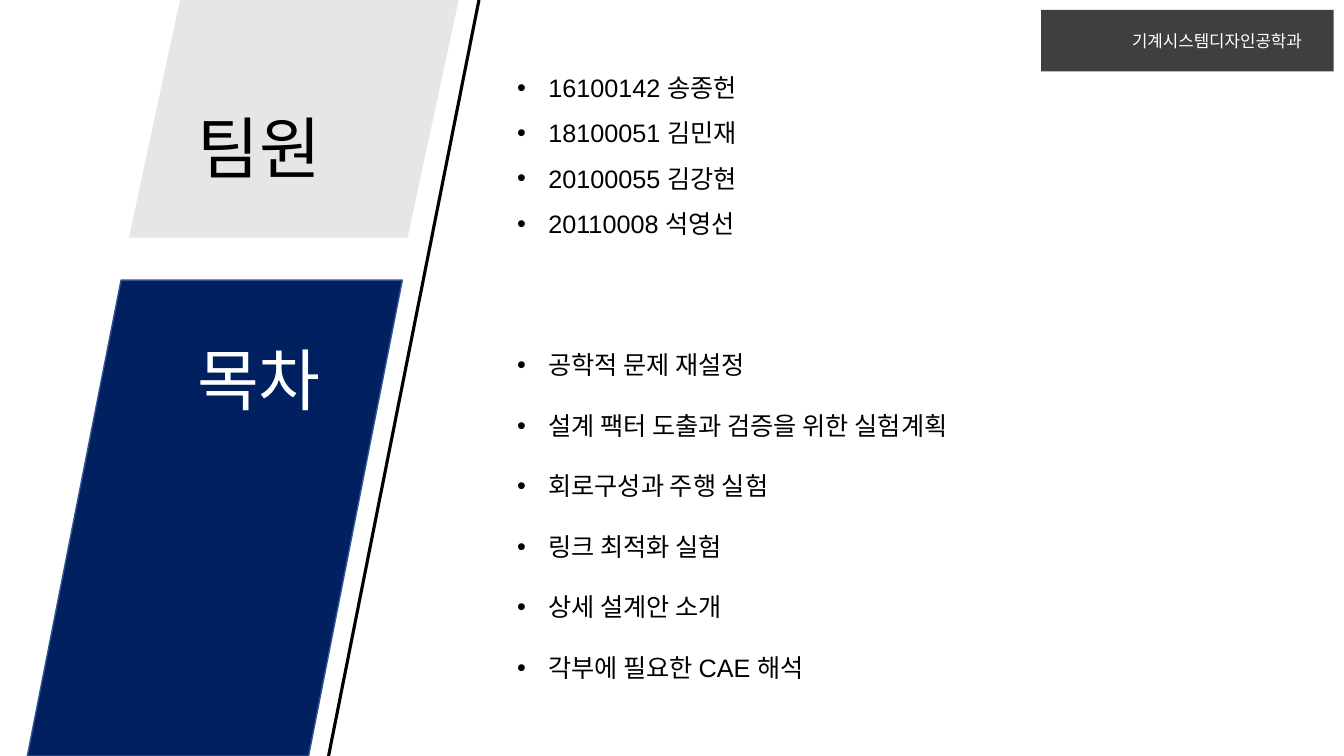
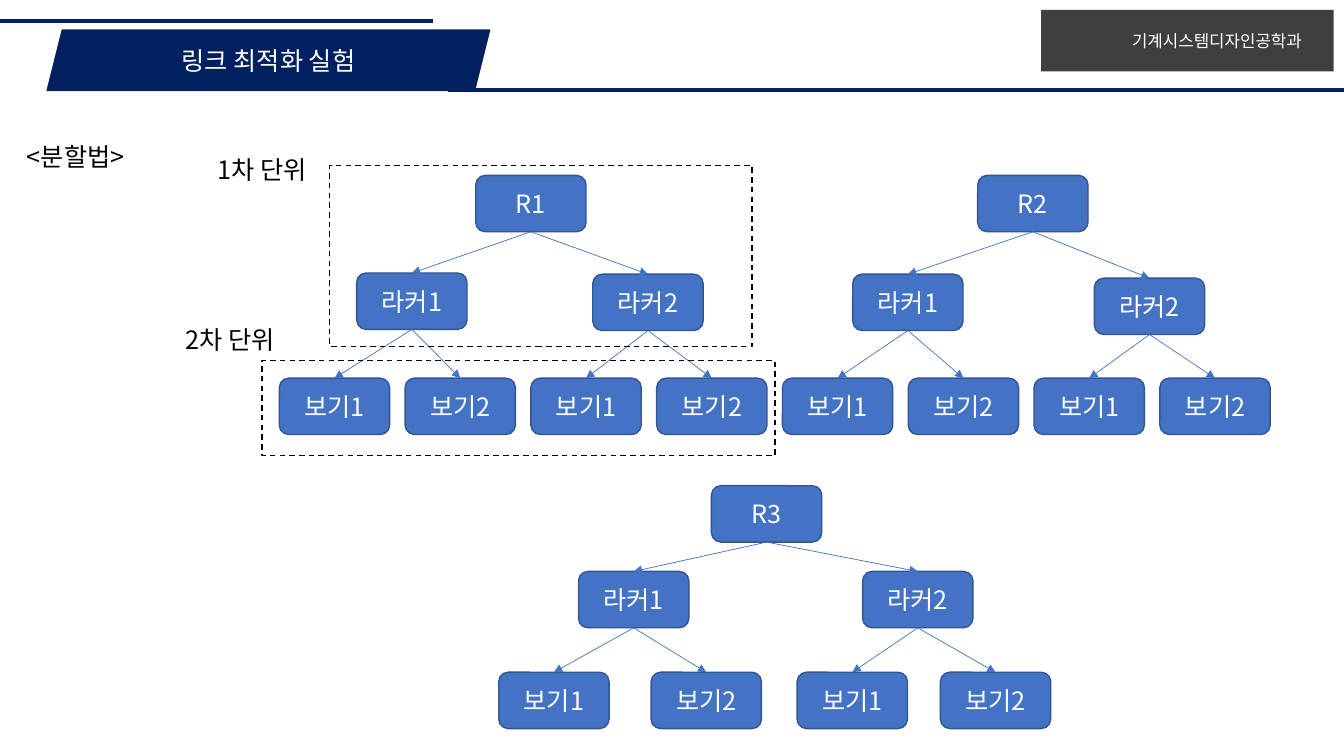
from lxml.etree import SubElement
from pptx import Presentation
from pptx.dml.color import RGBColor
from pptx.enum.dml import MSO_LINE
from pptx.enum.shapes import MSO_CONNECTOR, MSO_SHAPE
from pptx.enum.text import MSO_ANCHOR, MSO_AUTO_SIZE, PP_ALIGN
from pptx.oxml.ns import qn
from pptx.util import Cm, Pt

COLORS = {
    "navy": "002060", "navy_edge": "325491", "gray": "E7E6E6", "badge": "3F3F3F",
    "node": "4472C4", "black": "000000", "white": "FFFFFF",
}
KOREAN = "Noto Sans CJK KR"
SLIDE_W, SLIDE_H = 33.87, 19.05

DEPARTMENT = "기계시스템디자인공학과"
MEMBERS = ["16100142 송종헌", "18100051 김민재", "20100055 김강현", "20110008 석영선"]
AGENDA = [
    "공학적 문제 재설정",
    "설계 팩터 도출과 검증을 위한 실험계획",
    "회로구성과 주행 실험",
    "링크 최적화 실험",
    "상세 설계안 소개",
    "각부에 필요한 CAE 해석",
]

NODE_W, NODE_H = 2.78, 1.42
LEAF_ROW = [7.04 + 3.17 * i for i in range(8)]
# Each tree: root, its two lockers as (left, top), the leaves' lefts and their top
TREES = [
    ("R1", (11.99, 4.42), [(8.99, 6.88), (14.94, 6.91)], LEAF_ROW[:4], 9.53),
    ("R2", (24.64, 4.42), [(21.49, 6.91), (27.58, 7.01)], LEAF_ROW[4:], 9.53),
    ("R3", (17.93, 12.24), [(14.58, 14.4), (21.74, 14.4)], [12.57, 16.41, 20.09, 23.7], 16.94),
]
UNIT_FRAMES = [(8.31, 4.17, 10.64, 4.57), (6.6, 9.09, 12.93, 2.39)]
LABELS = [
    ("1차 단위", (5.23, 3.76, 3.02, 1.02)),
    ("2차 단위", (4.42, 8.05, 3.02, 1.02)),
    ("<분할법>", (0.43, 3.43, 3.91, 1.02)),
]


def rgb(name):
    return RGBColor.from_string(COLORS[name])


def write(sp, lines, size=18, color="black", font=KOREAN, align=PP_ALIGN.LEFT,
          anchor=MSO_ANCHOR.MIDDLE, bullet=False, spacing=None, gap=0):
    tf = sp.text_frame
    tf.word_wrap = True
    tf.auto_size = MSO_AUTO_SIZE.NONE
    tf.vertical_anchor = anchor
    for i, line in enumerate(lines):
        p = tf.paragraphs[0] if i == 0 else tf.add_paragraph()
        if bullet:
            pPr = p._p.get_or_add_pPr()
            pPr.set("marL", str(Cm(0.79)))
            pPr.set("indent", str(-Cm(0.79)))
            SubElement(pPr, qn("a:buFont")).set("typeface", "Arial")
            SubElement(pPr, qn("a:buChar")).set("char", "•")
        p.alignment = align
        if spacing:
            p.line_spacing = spacing
        if i and gap:
            p.space_before = Pt(gap)
        r = p.add_run()
        r.text = line
        r.font.size = Pt(size)
        r.font.name = font
        r.font.color.rgb = rgb(color)
        if font == KOREAN:
            SubElement(r._r.get_or_add_rPr(), qn("a:ea")).set("typeface", font)
    return sp


def add_text(s, lines, box, **fmt):
    return write(s.shapes.add_textbox(*map(Cm, box)), lines, **fmt)


def set_title(s, text, box, **fmt):
    """Place the title and bring it in front of the shapes drawn so far."""
    title = s.shapes.title
    title.left, title.top, title.width, title.height = map(Cm, box)
    write(title, [text], **fmt)
    title._element.getparent().append(title._element)


def add_shape(s, kind, box, fill=None, line=None, adj=None, dash=None):
    sp = s.shapes.add_shape(kind, *map(Cm, box))
    sp.shadow.inherit = False
    if adj is not None:
        sp.adjustments[0] = adj
    if fill:
        sp.fill.solid()
        sp.fill.fore_color.rgb = rgb(fill)
    else:
        sp.fill.background()
    if line:
        sp.line.color.rgb = rgb(line)
        sp.line.width = Pt(1)
        if dash:
            sp.line.dash_style = dash
    else:
        sp.line.fill.background()
    return sp


def add_line(s, start, end, color, width):
    cx = s.shapes.add_connector(MSO_CONNECTOR.STRAIGHT, *map(Cm, start + end))
    cx.line.color.rgb = rgb(color)
    cx.line.width = Pt(width)
    SubElement(cx._element.spPr, qn("a:effectLst"))
    return cx


def add_arrow(s, parent, child):
    """Arrow from the bottom of one node to the top of another."""
    cx = add_line(s, (0, 0), (1, 1), "node", 0.5)
    cx.begin_connect(parent, 2)
    cx.end_connect(child, 0)
    SubElement(cx.line._get_or_add_ln(), qn("a:tailEnd")).set("type", "triangle")


def add_node(s, text, left, top):
    sp = add_shape(s, MSO_SHAPE.ROUNDED_RECTANGLE, (left, top, NODE_W, NODE_H), "node", "navy_edge")
    return write(sp, [text], color="white", align=PP_ALIGN.CENTER)


def add_tree(s, root_text, root_at, locker_spots, leaf_lefts, leaf_top):
    root = add_node(s, root_text, *root_at)
    for i, spot in enumerate(locker_spots):
        locker = add_node(s, f"라커{i + 1}", *spot)
        add_arrow(s, root, locker)
        for j, left in enumerate(leaf_lefts[2 * i:2 * i + 2], 1):
            add_arrow(s, locker, add_node(s, f"보기{j}", left, leaf_top))


def new_slide(prs):
    """Title-only slide with the department badge."""
    s = prs.slides.add_slide(prs.slide_layouts[5])
    badge = add_shape(s, MSO_SHAPE.RECTANGLE, (26.24, 0.25, 7.37, 1.55), "badge")
    write(badge, [DEPARTMENT], size=12, color="white")
    badge.text_frame.margin_left = Cm(2.29)
    badge.text_frame.margin_right = 0
    return s


def build_agenda(prs):
    s = new_slide(prs)
    add_shape(s, MSO_SHAPE.PARALLELOGRAM, (0.69, 7.06, 9.45, 11.99), "navy", "navy_edge", 0.25)
    add_shape(s, MSO_SHAPE.PARALLELOGRAM, (3.25, 0, 8.31, 5.99), "gray", adj=0.215)
    add_line(s, (12.07, 0), (8.28, SLIDE_H), "black", 2.25)
    set_title(s, "팀원", (4.72, 2.54, 5.77, 2.31), size=48, font="Lato")
    add_text(s, ["목차"], (4.72, 8.38, 5.77, 2.31), size=48, font="Lato", color="white")
    bullets = dict(font="Arial", anchor=MSO_ANCHOR.TOP, bullet=True)
    add_text(s, MEMBERS, (12.78, 1.32, 18.75, 4.72), spacing=1.5, **bullets)
    add_text(s, AGENDA, (12.78, 8.69, 18.75, 8.71), gap=21.6, **bullets)


def build_split_plot(prs):
    s = new_slide(prs)
    title_box = (1.19, 0.76, 11.15, 1.52)
    add_shape(s, MSO_SHAPE.PARALLELOGRAM, title_box, "navy", "navy", 0.25)
    set_title(s, "링크 최적화 실험", title_box, color="white", align=PP_ALIGN.CENTER)
    add_line(s, (11.3, 2.26), (SLIDE_W, 2.26), "navy", 3)
    add_line(s, (0, 0.53), (10.9, 0.53), "navy", 3)
    for tree in TREES:
        add_tree(s, *tree)
    for box in UNIT_FRAMES:
        add_shape(s, MSO_SHAPE.RECTANGLE, box, line="black", dash=MSO_LINE.DASH)
    for text, box in LABELS:
        add_text(s, [text], box)


def main():
    prs = Presentation()
    prs.slide_width, prs.slide_height = Cm(SLIDE_W), Cm(SLIDE_H)
    build_agenda(prs)
    build_split_plot(prs)
    prs.save("out.pptx")


if __name__ == "__main__":
    main()
